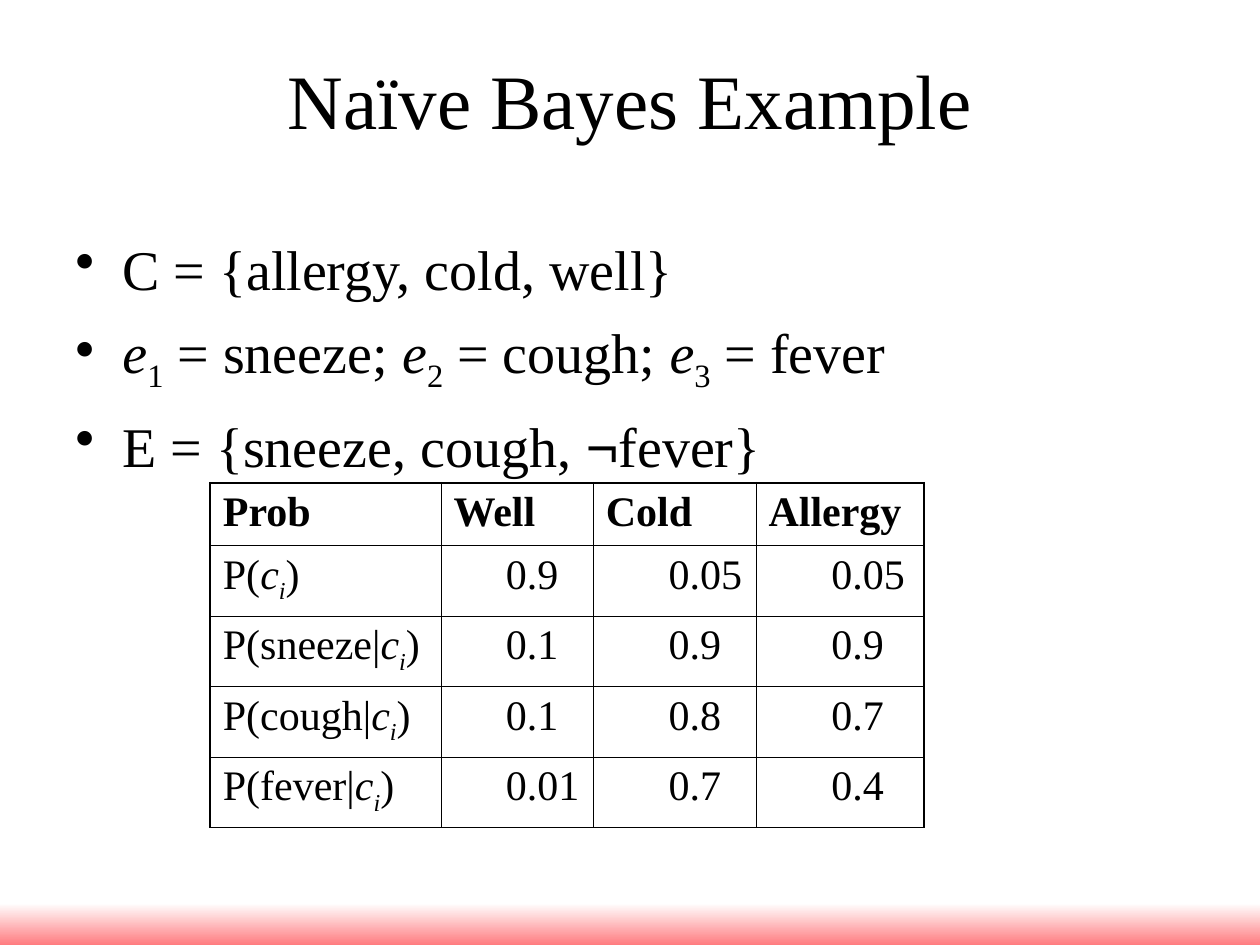
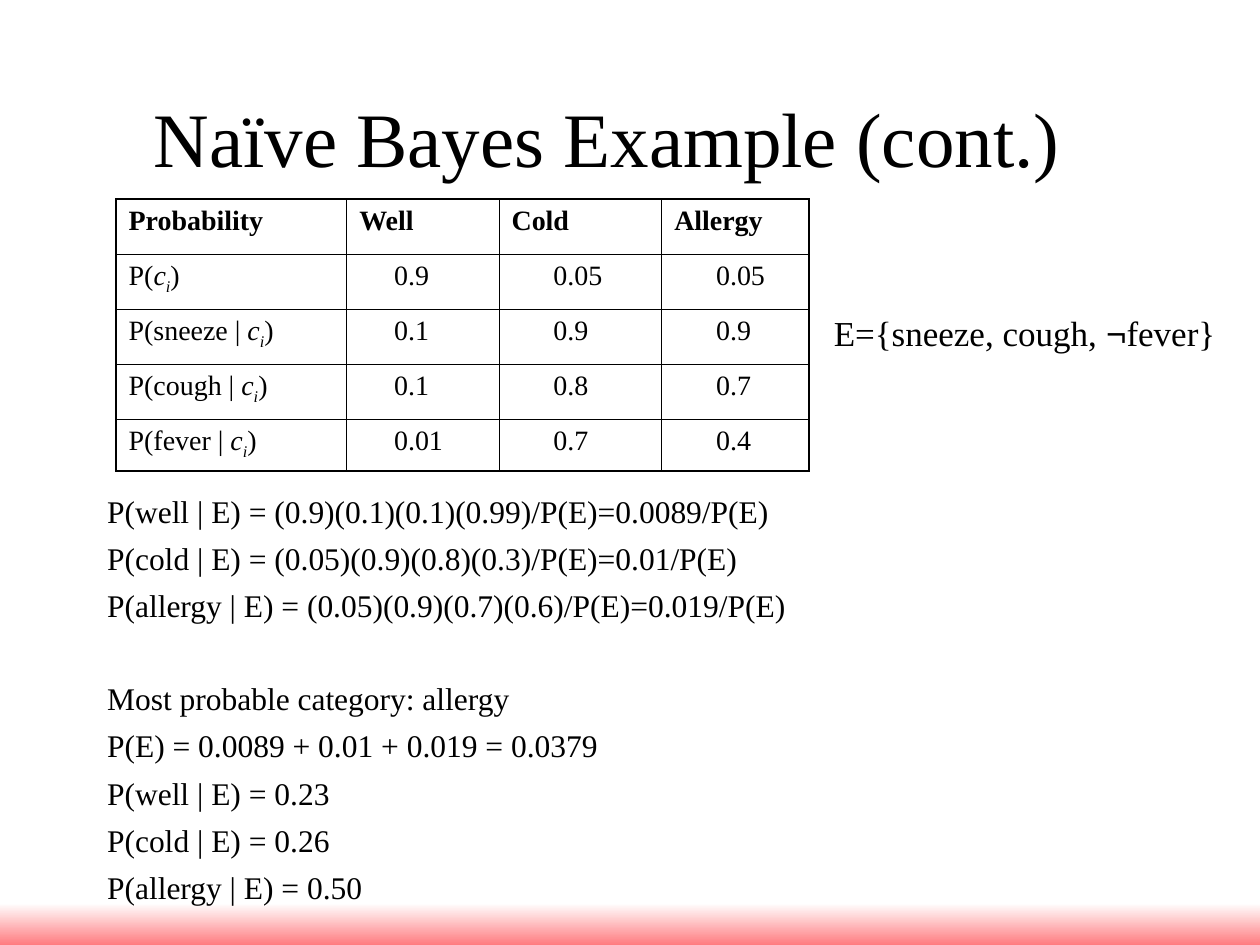
"""Builds two slides that work through a naïve Bayes diagnosis."""
from dataclasses import dataclass

from lxml.etree import SubElement
from pptx import Presentation
from pptx.dml.color import RGBColor
from pptx.enum.shapes import MSO_SHAPE as Preset
from pptx.enum.text import MSO_ANCHOR as Anchor, PP_ALIGN as Align
from pptx.oxml.ns import qn
from pptx.util import Cm, Pt


@dataclass(frozen=True)
class Theme:
    """Colours, fonts, type sizes and line widths of the deck."""
    ink: RGBColor = RGBColor(0, 0, 0)
    paper: RGBColor = RGBColor(255, 255, 255)
    glow: RGBColor = RGBColor(0xFF, 0x7C, 0x80)
    serif: str = "Times New Roman"
    symbol: str = "Arial"
    title: int = 44
    bullet: int = 32
    large_table: int = 24
    small_table: int = 16
    note: int = 20
    working: int = 18
    outer_line: float = 1.08
    inner_line: float = 0.45


THEME = Theme()
ITALIC, SUB, ITALIC_SUB, SYMBOL = "italic", "sub", "italic sub", "symbol"
CATEGORIES = ["Well", "Cold", "Allergy"]
SYMPTOMS = ["sneeze", "cough", "fever"]
PRIORS = ["0.9", "0.05", "0.05"]
LIKELIHOODS = [["0.1", "0.9", "0.9"], ["0.1", "0.8", "0.7"], ["0.01", "0.7", "0.4"]]
VALUE_INDENTS = [1.25, 1.5, 1.5]
EVIDENCE = ["{sneeze, cough, ", ("¬", SYMBOL), "fever}"]
POSTERIORS = [
    "P(well | E) = (0.9)(0.1)(0.1)(0.99)/P(E)=0.0089/P(E)",
    "P(cold | E) = (0.05)(0.9)(0.8)(0.3)/P(E)=0.01/P(E)",
    "P(allergy | E) = (0.05)(0.9)(0.7)(0.6)/P(E)=0.019/P(E)",
]
CONCLUSIONS = [
    "Most probable category: allergy",
    "P(E) = 0.0089 + 0.01 + 0.019 = 0.0379",
    "P(well | E) = 0.23",
    "P(cold | E) = 0.26",
    "P(allergy | E) = 0.50",
]


def write(paragraph, pieces, size, bold=False):
    """Fill a paragraph with plain strings and (text, style) pairs."""
    font = paragraph.font
    font.name, font.size, font.bold = THEME.serif, Pt(size), bold
    font.color.rgb = THEME.ink
    for piece in pieces:
        text, style = (piece, "") if isinstance(piece, str) else piece
        run = paragraph.add_run()
        run.text = text
        if ITALIC in style:
            run.font.italic = True
        if SUB in style:
            run.font._element.set("baseline", "-25000")
        if style == SYMBOL:
            run.font.name = THEME.symbol


def add_lines(slide, box, lines, size, top_inset=0.13, gap=0, align=Align.LEFT):
    """Add a text box with one paragraph per line and return its frame."""
    frame = slide.shapes.add_textbox(*map(Cm, box)).text_frame
    frame.word_wrap = True
    frame.vertical_anchor = Anchor.TOP
    frame.margin_top = Cm(top_inset)
    for number, pieces in enumerate(lines):
        paragraph = frame.add_paragraph() if number else frame.paragraphs[0]
        paragraph.alignment = align
        paragraph.space_before = Pt(gap)
        write(paragraph, pieces, size)
    return frame


def add_bullets(frame, hang):
    """Give every paragraph a round bullet with a hanging indent."""
    for paragraph in frame.paragraphs:
        properties = paragraph._p.get_or_add_pPr()
        properties.set("marL", str(hang))
        properties.set("indent", str(-hang))
        bullet = properties.makeelement(qn("a:buChar"), {"char": "•"})
        properties.find(qn("a:defRPr")).addprevious(bullet)


def add_band(slide):
    """Add the fading band along the bottom edge."""
    band = slide.shapes.add_shape(Preset.RECTANGLE, 0, Cm(18.21), Cm(25.4), Cm(0.84))
    band.shadow.inherit = False
    band.line.fill.background()
    band.fill.gradient()
    band.fill.gradient_angle = 270
    for stop, colour in zip(band.fill.gradient_stops, (THEME.paper, THEME.glow)):
        stop.color.rgb = colour


def start_slide(deck, title, left, top):
    """Add a blank slide with the band and a centred title."""
    slide = deck.slides.add_slide(deck.slide_layouts[6])
    add_band(slide)
    add_lines(slide, (left, top, 22.86, 3.18), [[title]], THEME.title,
              top_inset=0.3, align=Align.CENTER)
    return slide


def set_borders(cell, outer_edges):
    """Rule all four edges of a cell, heavier where the table ends."""
    properties = cell._tc.get_or_add_tcPr()
    for index, (edge, is_outer) in enumerate(outer_edges.items()):
        width = THEME.outer_line if is_outer else THEME.inner_line
        line = properties.makeelement(qn(f"a:{edge}"), {"w": str(Pt(width))})
        fill = SubElement(line, qn("a:solidFill"))
        SubElement(fill, qn("a:srgbClr"), val=str(THEME.ink))
        properties.insert(index, line)


def probability_rows(corner, bar):
    """Return the heading, prior and likelihood rows as lists of pieces."""
    category = [("c", ITALIC), ("i", ITALIC_SUB), ")"]
    labels = [["P(", *category]] + [[f"P({name}{bar}", *category] for name in SYMPTOMS]
    heading = [[name] for name in [corner, *CATEGORIES]]
    body = [[label] + [[value] for value in values]
            for label, values in zip(labels, [PRIORS, *LIKELIHOODS])]
    return [heading, *body]


def add_probability_table(slide, origin, widths, heights, rows, size):
    """Add a ruled table whose values are indented by column."""
    table = slide.shapes.add_table(len(rows), len(widths), *map(Cm, origin),
                                   Cm(sum(widths)), Cm(sum(heights))).table
    table.first_row = table.horz_banding = False
    for column, width in zip(table.columns, widths):
        column.width = Cm(width)
    for row, height in zip(table.rows, heights):
        row.height = Cm(height)
    for r, row in enumerate(rows):
        for c, pieces in enumerate(row):
            cell = table.cell(r, c)
            cell.fill.background()
            write(cell.text_frame.paragraphs[0], pieces, size, bold=r == 0)
            if r and c:
                cell.margin_left = Cm(0.25) + Pt(size * VALUE_INDENTS[c - 1])
            set_borders(cell, {"lnL": c == 0, "lnR": c == len(widths) - 1,
                               "lnT": r == 0, "lnB": r == len(rows) - 1})


def build_example(deck):
    """Build the slide that defines the events and probabilities."""
    slide = start_slide(deck, "Naïve Bayes Example", 1.27, 0.76)
    events = []
    for number, symptom in enumerate(SYMPTOMS, 1):
        ending = "; " if number < len(SYMPTOMS) else ""
        events += [("e", ITALIC), (str(number), SUB), f" = {symptom}{ending}"]
    definitions = [["C = {allergy, cold, well}"], events, ["E = ", *EVIDENCE]]
    frame = add_lines(slide, (1.27, 4.45, 22.86, 12.57), definitions, THEME.bullet,
                      top_inset=0.27, gap=9.5)
    add_bullets(frame, Cm(0.95))
    add_probability_table(slide, (4.24, 9.73), [4.65, 3.07, 3.28, 3.38],
                          [1.27] + [1.42] * 4, probability_rows("Prob", "|"),
                          THEME.large_table)


def build_working(deck):
    """Build the slide that computes the posterior probabilities."""
    slide = start_slide(deck, "Naïve Bayes Example (cont.)", 0.81, 1.52)
    working = [[line] for line in POSTERIORS + CONCLUSIONS]
    frame = add_lines(slide, (1.91, 3.81, 22.23, 14.81), working, THEME.working,
                      top_inset=6.1, gap=5.4)
    frame.paragraphs[len(POSTERIORS)].space_before = Pt(31.5)
    add_probability_table(slide, (2.34, 4.01), [4.65, 3.07, 3.28, 2.97],
                          [1.11] * 4 + [1.04], probability_rows("Probability", " | "),
                          THEME.small_table)
    note = add_lines(slide, (16.54, 6.15, 8.23, 1.12), [["E=", *EVIDENCE]], THEME.note,
                     align=Align.CENTER)
    note.word_wrap = False


def main():
    """Build and save the deck."""
    deck = Presentation()
    deck.slide_width, deck.slide_height = Cm(25.4), Cm(19.05)
    build_example(deck)
    build_working(deck)
    deck.save("out.pptx")


if __name__ == "__main__":
    main()
